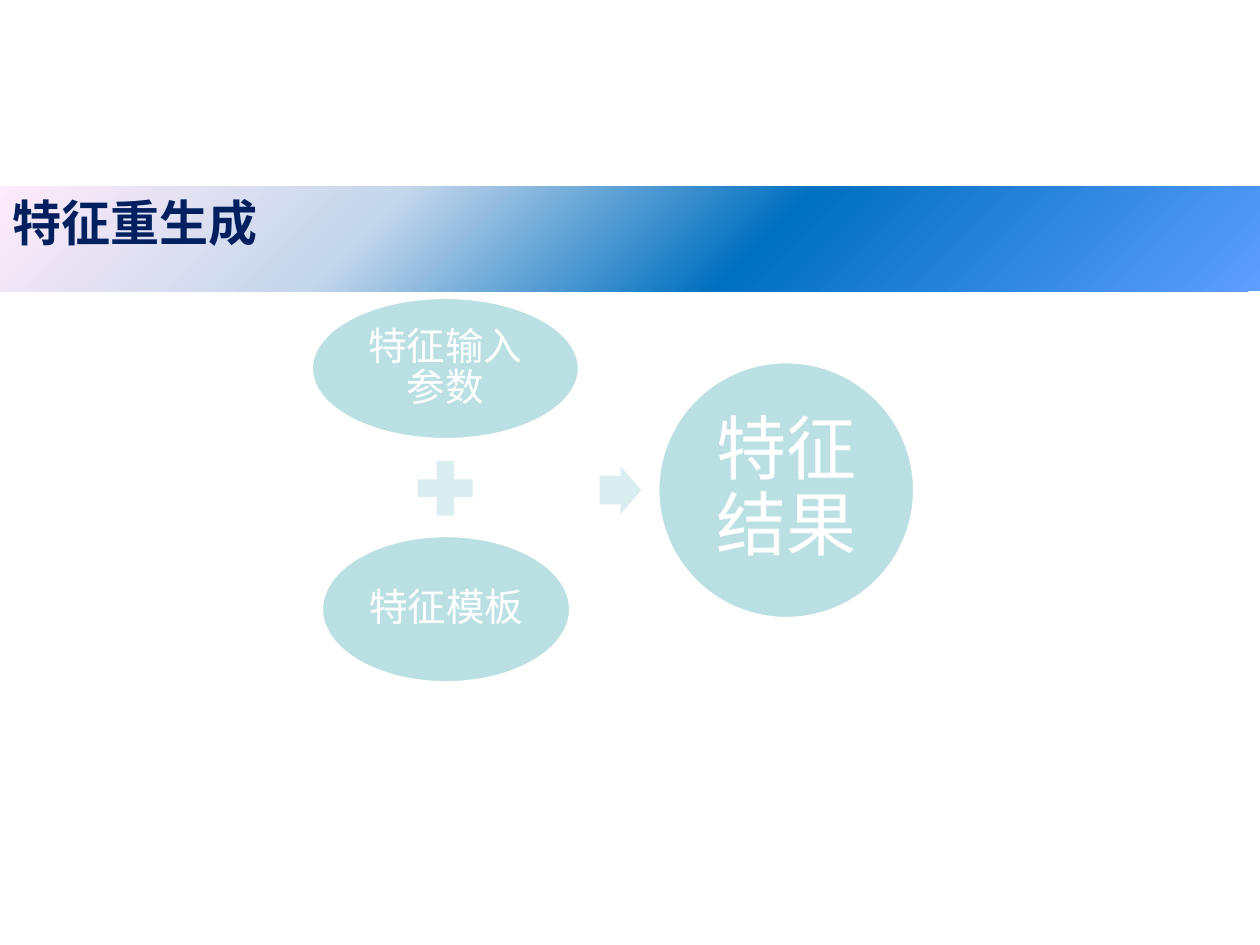
from lxml.etree import SubElement
from pptx import Presentation
from pptx.dml.color import RGBColor
from pptx.enum.shapes import MSO_SHAPE
from pptx.enum.text import MSO_ANCHOR, MSO_AUTO_SIZE, PP_ALIGN
from pptx.oxml import parse_xml
from pptx.oxml.ns import nsdecls, qn
from pptx.util import Inches, Pt


def color(hex_string):
    return RGBColor.from_string(hex_string)


class FeatureSlide:
    title_font = "Noto Sans CJK SC"
    body_font = "Arial"
    navy = "002060"
    white = "FFFFFF"
    node_fill = "BBE0E3"
    operator_fill = "DAEDEF"
    banner_stops = [(0, "5E9EFF"), (40, "0070C0"), (70, "C4D6EB"), (100, "FFEBFA")]
    banner_angle = 225

    def __init__(self, slide):
        self.slide = slide

    def banner_title(self, text, left, top, width, height):
        shape = self.slide.shapes.title
        shape.left, shape.top = Inches(left), Inches(top)
        shape.width, shape.height = Inches(width), Inches(height)
        stops = "".join(
            f'<a:gs pos="{position * 1000}"><a:srgbClr val="{value}"/></a:gs>'
            for position, value in self.banner_stops)
        # A gradient with four stops needs XML
        shape.element.spPr.append(parse_xml(
            f'<a:gradFill {nsdecls("a")} rotWithShape="1"><a:gsLst>{stops}</a:gsLst>'
            f'<a:lin ang="{self.banner_angle * 60000}" scaled="0"/></a:gradFill>'))

        frame = shape.text_frame
        frame.text = text
        frame.word_wrap = True
        frame.auto_size = MSO_AUTO_SIZE.SHAPE_TO_FIT_TEXT
        frame.vertical_anchor = MSO_ANCHOR.TOP
        paragraph = frame.paragraphs[0]
        paragraph.alignment = PP_ALIGN.LEFT
        font = paragraph.runs[0].font
        font.name, font.size, font.bold = self.title_font, Pt(28), True
        font.color.rgb = color(self.navy)
        # East Asian typeface for the Chinese title
        properties = paragraph.runs[0]._r.get_or_add_rPr()
        SubElement(properties, qn("a:ea")).set("typeface", self.title_font)

    def solid_shape(self, kind, fill, left, top, width, height):
        shape = self.slide.shapes.add_shape(
            kind, Inches(left), Inches(top), Inches(width), Inches(height))
        shape.shadow.inherit = False
        shape.fill.solid()
        shape.fill.fore_color.rgb = color(fill)
        shape.line.fill.background()
        return shape

    def node(self, text, size, inset, left, top, width, height):
        shape = self.solid_shape(MSO_SHAPE.OVAL, self.node_fill, left, top, width, height)
        shape.line.color.rgb = color(self.white)
        shape.line.width = Pt(2)
        frame = shape.text_frame
        frame.text = text
        frame.word_wrap = True
        frame.vertical_anchor = MSO_ANCHOR.MIDDLE
        frame.margin_left = frame.margin_right = Inches(inset)
        frame.margin_top = frame.margin_bottom = Inches(inset)
        paragraph = frame.paragraphs[0]
        paragraph.alignment = PP_ALIGN.CENTER
        paragraph.line_spacing = 0.9
        font = paragraph.runs[0].font
        font.name, font.size = self.body_font, Pt(size)
        font.color.rgb = color(self.white)

    def operator(self, kind, left, top, width, height):
        return self.solid_shape(kind, self.operator_fill, left, top, width, height)


def main():
    presentation = Presentation()
    presentation.slide_width, presentation.slide_height = Inches(10), Inches(7.5)
    title_only = presentation.slide_layouts[5]
    page = FeatureSlide(presentation.slides.add_slide(title_only))

    # Title banner
    page.banner_title("特征重生成", 0, 1.48, 10, 0.57)

    # Inputs, joined by a plus
    page.node("特征输入参数", 22, 0.03, 2.47, 2.36, 2.13, 1.13)
    page.operator(MSO_SHAPE.MATH_PLUS, 3.24, 3.58, 0.59, 0.59)
    page.node("特征模板", 22, 0.03, 2.55, 4.25, 1.98, 1.17)

    # Result
    arrow = page.operator(MSO_SHAPE.RIGHT_ARROW, 4.76, 3.7, 0.33, 0.38)
    arrow.adjustments[0] = 0.6
    arrow.adjustments[1] = 0.5
    page.node("特征结果", 40, 0.06, 5.22, 2.87, 2.04, 2.04)

    presentation.save("out.pptx")


if __name__ == "__main__":
    main()
